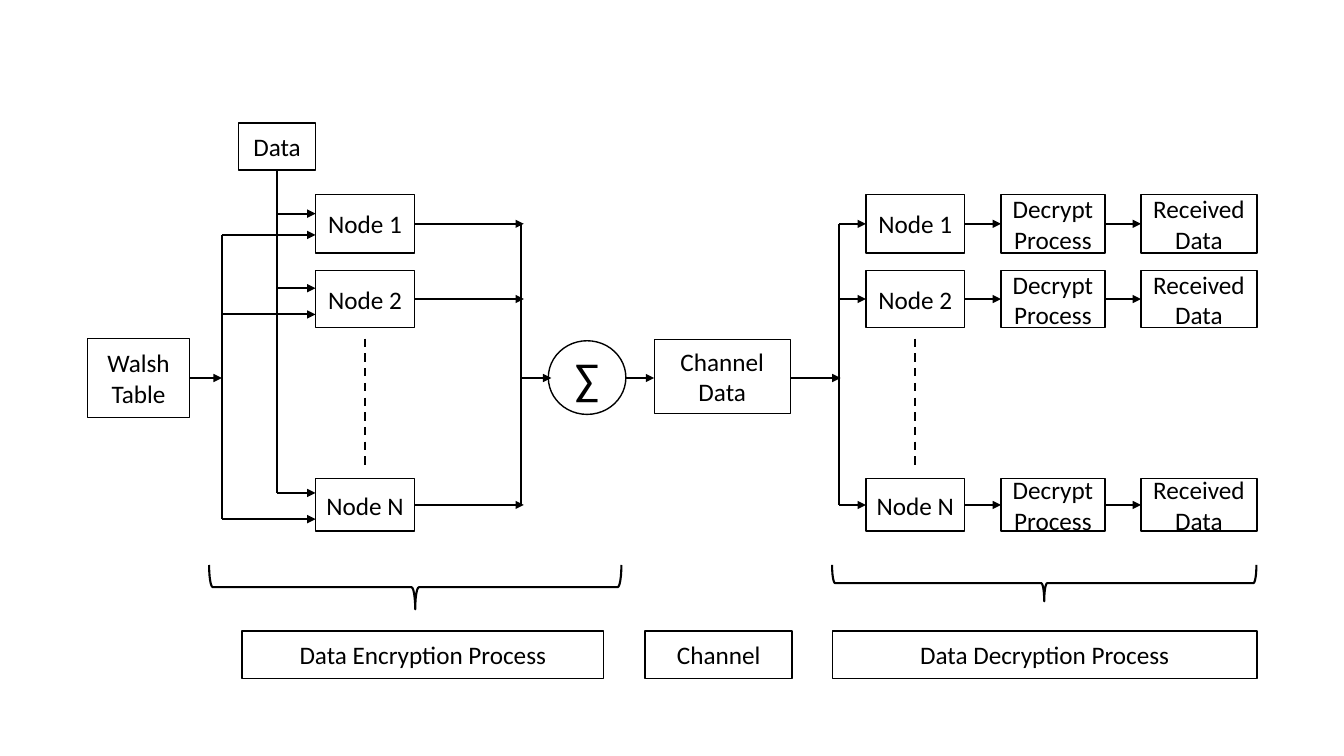
from pptx import Presentation
from pptx.dml.color import RGBColor
from pptx.enum.dml import MSO_LINE
from pptx.enum.shapes import MSO_CONNECTOR, MSO_SHAPE
from pptx.enum.text import MSO_ANCHOR, PP_ALIGN
from pptx.oxml.ns import qn
from pptx.util import Pt
from lxml import etree

RECTANGLE = MSO_SHAPE.RECTANGLE
OVAL = MSO_SHAPE.OVAL
BRACE = MSO_SHAPE.LEFT_BRACE
STRAIGHT = MSO_CONNECTOR.STRAIGHT
DASH = MSO_LINE.DASH
MIDDLE = MSO_ANCHOR.MIDDLE
CENTER = PP_ALIGN.CENTER
BLACK = RGBColor(0x00, 0x00, 0x00)
WHITE = RGBColor(0xFF, 0xFF, 0xFF)

ROWS = [
    {"node": "Node 1", "top": 139, "height": 41.8, "data_y": 152.6, "walsh_y": 167.8},
    {"node": "Node 2", "top": 193.2, "height": 40.8, "data_y": 205.9, "walsh_y": 224.6},
    {"node": "Node N", "top": 342, "height": 37.4, "data_y": 352.1, "walsh_y": 370.8},
]
SINGLE_BOXES = [
    ("Walsh Table", 62.6, 241.9, 72.7, 56.2),
    ("Data", 170.6, 87.8, 54.7, 33.8),
    ("Channel Data", 467.3, 242.6, 97.2, 52.6),
]
CAPTIONS = [
    ("Data Encryption Process", 172.8, 258.5),
    ("Channel", 460.8, 105.1),
    ("Data Decryption Process", 594.7, 303.1),
]
BRACES = [(296.6, 419.4, 294.5, 31.7), (745.9, 416.5, 303.1, 25.9)]
CAPTION_TOP, CAPTION_HEIGHT = 450.7, 33.8

NODE_WIDTH = 70.6
ENCRYPT_LEFT = 225.4
ENCRYPT_RIGHT = ENCRYPT_LEFT + NODE_WIDTH
DECRYPT_STAGES = [(None, 618.5, NODE_WIDTH),
                  ("Decrypt Process", 715, 74.2),
                  ("Received Data", 815, 82.8)]
WALSH_BUS, DATA_BUS, SUM_BUS, DECRYPT_BUS = 158.4, 198, 372.2, 599.4
MIDDLE_Y = 270
DASH_TOP, DASH_BOTTOM = 241.9, 334.1

deck = Presentation()
deck.slide_width, deck.slide_height = Pt(960), Pt(540)
page = deck.slides.add_slide(deck.slide_layouts[6])


def add_box(text, left, top, width, height, kind=RECTANGLE, size=18):
    box = page.shapes.add_shape(kind, Pt(left), Pt(top), Pt(width), Pt(height))
    box.shadow.inherit = False
    box.fill.solid()
    box.fill.fore_color.rgb = WHITE
    box.line.color.rgb = BLACK
    box.line.width = Pt(1)
    frame = box.text_frame
    frame.word_wrap = True
    frame.vertical_anchor = MIDDLE
    para = frame.paragraphs[0]
    para.alignment = CENTER
    span = para.add_run()
    span.text = text
    for name, value in {"name": "Calibri", "size": Pt(size)}.items():
        setattr(span.font, name, value)
    span.font.color.rgb = BLACK


def add_line(x1, y1, x2, y2, arrow=False, dashed=False):
    line = page.shapes.add_connector(STRAIGHT, Pt(x1), Pt(y1), Pt(x2), Pt(y2))
    line.line.color.rgb = BLACK
    line.line.width = Pt(1.5)
    if dashed:
        line.line.dash_style = DASH
    properties = line.element.spPr
    if arrow:
        etree.SubElement(properties.find(qn("a:ln")), qn("a:tailEnd"), type="triangle")
    etree.SubElement(properties, qn("a:effectLst"))


def add_brace(center_x, center_y, span_width, depth):
    brace = page.shapes.add_shape(BRACE, Pt(center_x - depth / 2),
                                  Pt(center_y - span_width / 2), Pt(depth), Pt(span_width))
    brace.rotation = 270
    brace.shadow.inherit = False
    brace.fill.background()
    brace.line.color.rgb = BLACK
    brace.line.width = Pt(1.5)


for single in SINGLE_BOXES:
    add_box(*single)
add_box("∑", 391.7, 243.4, 55.4, 52.6, OVAL, 32)

for row in ROWS:
    top, height = row["top"], row["height"]
    center = row["center"] = top + height / 2
    add_box(row["node"], ENCRYPT_LEFT, top, NODE_WIDTH, height)
    add_line(DATA_BUS, row["data_y"], ENCRYPT_LEFT, row["data_y"], arrow=True)
    add_line(WALSH_BUS, row["walsh_y"], ENCRYPT_LEFT, row["walsh_y"], arrow=True)
    add_line(ENCRYPT_RIGHT, center, SUM_BUS + 2, center, arrow=True)
    previous_right = DECRYPT_BUS
    for label, left, width in DECRYPT_STAGES:
        add_box(label or row["node"], left, top, width, height)
        add_line(previous_right, center, left, center, arrow=True)
        previous_right = left + width

first, last = ROWS[0], ROWS[-1]
for bus, start, end in [
    (DATA_BUS, 121, last["data_y"]),
    (WALSH_BUS, first["walsh_y"], last["walsh_y"]),
    (SUM_BUS, first["center"], last["center"]),
    (DECRYPT_BUS, first["center"], last["center"]),
]:
    add_line(bus, start, bus, end)

for start, end in [(135.3, WALSH_BUS), (SUM_BUS, 393.8), (447.4, 467.3), (564.5, 600.4)]:
    add_line(start, MIDDLE_Y, end, MIDDLE_Y, arrow=True)

for node_left in (ENCRYPT_LEFT, DECRYPT_STAGES[0][1]):
    node_center = node_left + NODE_WIDTH / 2
    add_line(node_center, DASH_TOP, node_center, DASH_BOTTOM, dashed=True)

for brace_values in BRACES:
    add_brace(*brace_values)
for label, left, width in CAPTIONS:
    add_box(label, left, CAPTION_TOP, width, CAPTION_HEIGHT)

deck.save("out.pptx")
